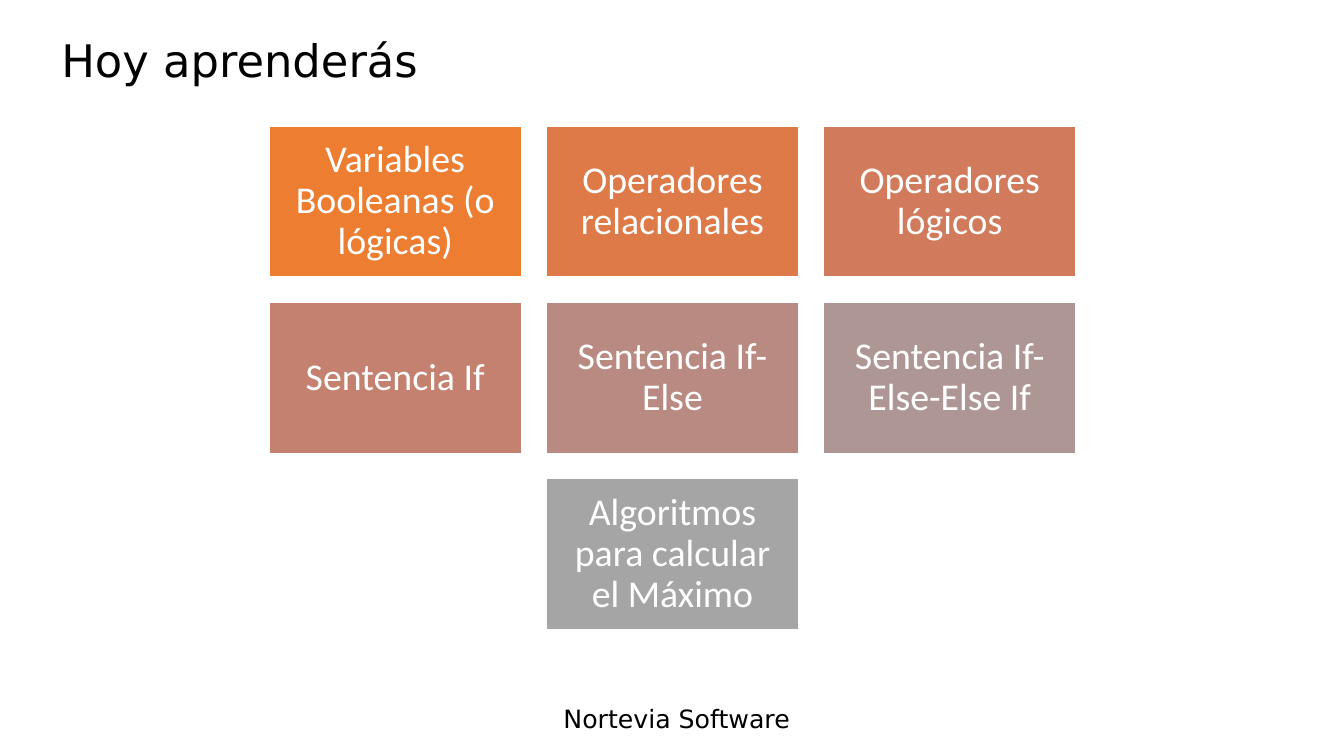
from pptx import Presentation
from pptx.dml.color import RGBColor
from pptx.enum.shapes import MSO_SHAPE
from pptx.enum.text import MSO_ANCHOR, PP_ALIGN
from pptx.util import Inches, Pt

TOPICS = [
    ("Variables Booleanas (o lógicas)", "ED7D31"),
    ("Operadores relacionales", "DE7A47"),
    ("Operadores lógicos", "D17B5C"),
    ("Sentencia If", "C48170"),
    ("Sentencia If-Else", "B98A82"),
    ("Sentencia If-Else-Else If", "AE9694"),
    ("Algoritmos para calcular el Máximo", "A5A5A5"),
]


def color(code):
    """Turn a hex string into a colour."""
    return RGBColor.from_string(code)


def write(frame, text, size, font, tint):
    """Add one styled run to the first paragraph and return the paragraph."""
    frame.word_wrap = True
    para = frame.paragraphs[0]
    run = para.add_run()
    run.text = text
    run.font.size = Pt(size)
    run.font.name = font
    run.font.color.rgb = color(tint)
    return para


def label(slide, box, text, size):
    """Place a line of black text, centred in height, in the box."""
    frame = slide.shapes.add_textbox(*map(Inches, box)).text_frame
    frame.vertical_anchor = MSO_ANCHOR.MIDDLE
    write(frame, text, size, "DejaVu Sans", "000000").line_spacing = 0.9


def tile(slide, box, text, fill):
    """Draw one topic tile in the box."""
    shape = slide.shapes.add_shape(MSO_SHAPE.RECTANGLE, *map(Inches, box))
    shape.shadow.inherit = False
    shape.fill.solid()
    shape.fill.fore_color.rgb = color(fill)
    shape.line.color.rgb = color("FFFFFF")
    shape.line.width = Pt(1)
    frame = shape.text_frame
    frame.margin_left = frame.margin_right = Inches(0.11)
    frame.margin_top = frame.margin_bottom = Inches(0.11)
    frame.vertical_anchor = MSO_ANCHOR.MIDDLE
    para = write(frame, text, 27, "Calibri", "FFFFFF")
    para.alignment = PP_ALIGN.CENTER
    para.line_spacing = 0.9


def grid(slide, box, topics, cols=3, gap=0.25):
    """Fill the box with rows of tiles, centring a short last row."""
    left, top, width, height = box
    rows = -(-len(topics) // cols)
    wide = (width - gap * (cols - 1)) / cols
    high = (height - gap * (rows - 1)) / rows
    for row in range(rows):
        line = topics[row * cols:(row + 1) * cols]
        start = left + (cols - len(line)) * (wide + gap) / 2
        for col, (text, fill) in enumerate(line):
            x = start + col * (wide + gap)
            y = top + row * (high + gap)
            tile(slide, (x, y, wide, high), text, fill)


def main():
    """Build the slide and save it."""
    deck = Presentation()
    deck.slide_width = Inches(13.33)
    deck.slide_height = Inches(7.5)
    slide = deck.slides.add_slide(deck.slide_layouts[6])
    label(slide, (5.49, 6.95, 2.9, 0.4), "Nortevia Software", 18)
    label(slide, (0.51, 0.15, 11.91, 0.95), "Hoy aprenderás", 32)
    grid(slide, (2.67, 1.25, 8, 5), TOPICS)
    deck.save("out.pptx")


if __name__ == "__main__":
    main()
